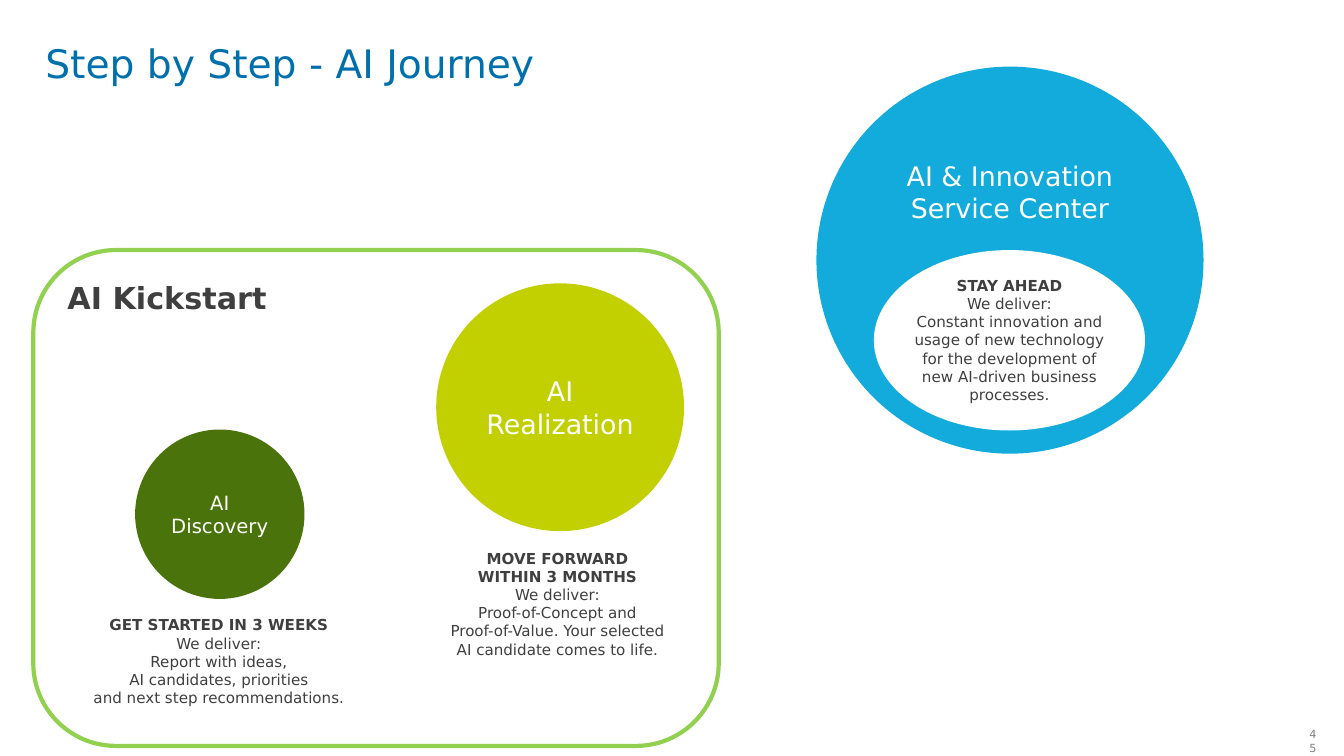
"""Build the AI journey slide with its kickstart frame and growing circles."""
from pptx import Presentation
from pptx.dml.color import RGBColor
from pptx.enum.shapes import MSO_SHAPE as Shape
from pptx.enum.text import MSO_ANCHOR as Anchor, MSO_AUTO_SIZE as AutoSize, PP_ALIGN as Align
from pptx.util import Pt


def color(value):
    return RGBColor.from_string(value)


class JourneySlide:
    font = "DejaVu Sans"
    dark = "3F3F3F"
    white = "FFFFFF"

    def __init__(self, presentation):
        self.slide = presentation.slides.add_slide(presentation.slide_layouts[5])

    def fill_text(self, text_frame, runs, size, ink, align=Align.CENTER, anchor=Anchor.TOP, insets=(0, 0, 0, 0)):
        left, top, right, bottom = insets
        frame_format = {
            "word_wrap": True,
            "auto_size": AutoSize.NONE,
            "vertical_anchor": anchor,
            "margin_left": Pt(left),
            "margin_top": Pt(top),
            "margin_right": Pt(right),
            "margin_bottom": Pt(bottom),
        }
        for name, value in frame_format.items():
            setattr(text_frame, name, value)
        paragraph = text_frame.paragraphs[0]
        paragraph.alignment = align
        paragraph.font.size = Pt(size)
        lines = [(line, bold) for text, bold in runs for line in text.split("\n")]
        for index, (line, bold) in enumerate(lines):
            if index:
                paragraph.add_line_break()
            run = paragraph.add_run()
            run.text = line
            for name, value in {"name": self.font, "size": Pt(size), "bold": bold}.items():
                setattr(run.font, name, value)
            run.font.color.rgb = color(ink)
        return paragraph

    def title(self, text):
        title = self.slide.shapes.title
        box = {"left": 32.4, "top": 31.7, "width": 861.8, "height": 68.4}
        for name, value in box.items():
            setattr(title, name, Pt(value))
        paragraph = self.fill_text(title.text_frame, [(text, False)], 28, "0070AD", Align.LEFT)
        paragraph.line_spacing = 0.9

    def page_number(self, text):
        box = self.slide.shapes.add_textbox(Pt(928.1), Pt(516.2), Pt(19.4), Pt(17.3))
        self.fill_text(box.text_frame, [(text, False)], 8, "808080", Align.RIGHT, insets=(7.2, 3.6, 7.2, 3.6))

    def shape(self, kind, box, fill=None, line=None):
        shape = self.slide.shapes.add_shape(kind, *map(Pt, box))
        shape.shadow.inherit = False
        if fill:
            shape.fill.solid()
            shape.fill.fore_color.rgb = color(fill)
        else:
            shape.fill.background()
        if line:
            shape.line.color.rgb = color(line)
            shape.line.width = Pt(3)
        else:
            shape.line.fill.background()
        return shape

    def circle(self, left, top, diameter, fill, label, size, anchor=Anchor.MIDDLE, top_inset=3.6):
        circle = self.shape(Shape.OVAL, (left, top, diameter, diameter), fill)
        self.fill_text(circle.text_frame, [(label, False)], size, self.white, anchor=anchor,
                       insets=(7.2, top_inset, 7.2, 3.6))

    def caption(self, kind, box, heading, body):
        caption = self.shape(kind, box, self.white)
        self.fill_text(caption.text_frame, [(heading, True), (body, False)], 10.8, self.dark)

    def frame(self, box, label):
        frame = self.shape(Shape.ROUNDED_RECTANGLE, box, line="92D050")
        self.fill_text(frame.text_frame, [(label, True)], 21.6, self.dark, Align.LEFT,
                       insets=(7.2, 3.6, 7.2, 3.6))


def main():
    presentation = Presentation()
    presentation.slide_width, presentation.slide_height = Pt(960), Pt(540)
    journey = JourneySlide(presentation)
    journey.title("Step by Step - AI Journey")
    journey.page_number("45")

    journey.circle(583.2, 47.6, 276.5, "12ABDB", "AI & Innovation Service Center", 19.2, Anchor.TOP, 26)
    journey.caption(
        Shape.OVAL, (624.2, 178.6, 193.7, 128.9), "STAY AHEAD",
        "We deliver:\nConstant innovation and usage of new technology for the development of "
        "new AI-driven business processes.")
    journey.circle(96.5, 306.8, 121, "4A730B", "AI Discovery", 14)
    journey.circle(311.6, 202.4, 177, "C2CF00", "AI Realization", 19.2)
    journey.caption(
        Shape.ROUNDED_RECTANGLE, (59.8, 436.3, 193, 72.7), "GET STARTED IN 3 WEEKS",
        "We deliver:\nReport with ideas,\nAI candidates, priorities\nand next step recommendations.")
    journey.caption(
        Shape.ROUNDED_RECTANGLE, (301.7, 388.1, 193, 87.1), "MOVE FORWARD\nWITHIN 3 MONTHS",
        "We deliver:\nProof-of-Concept and\nProof-of-Value. Your selected\nAI candidate comes to life.")
    journey.frame((23.8, 178.6, 489.6, 354.2), "AI Kickstart")
    presentation.save("out.pptx")


if __name__ == "__main__":
    main()
